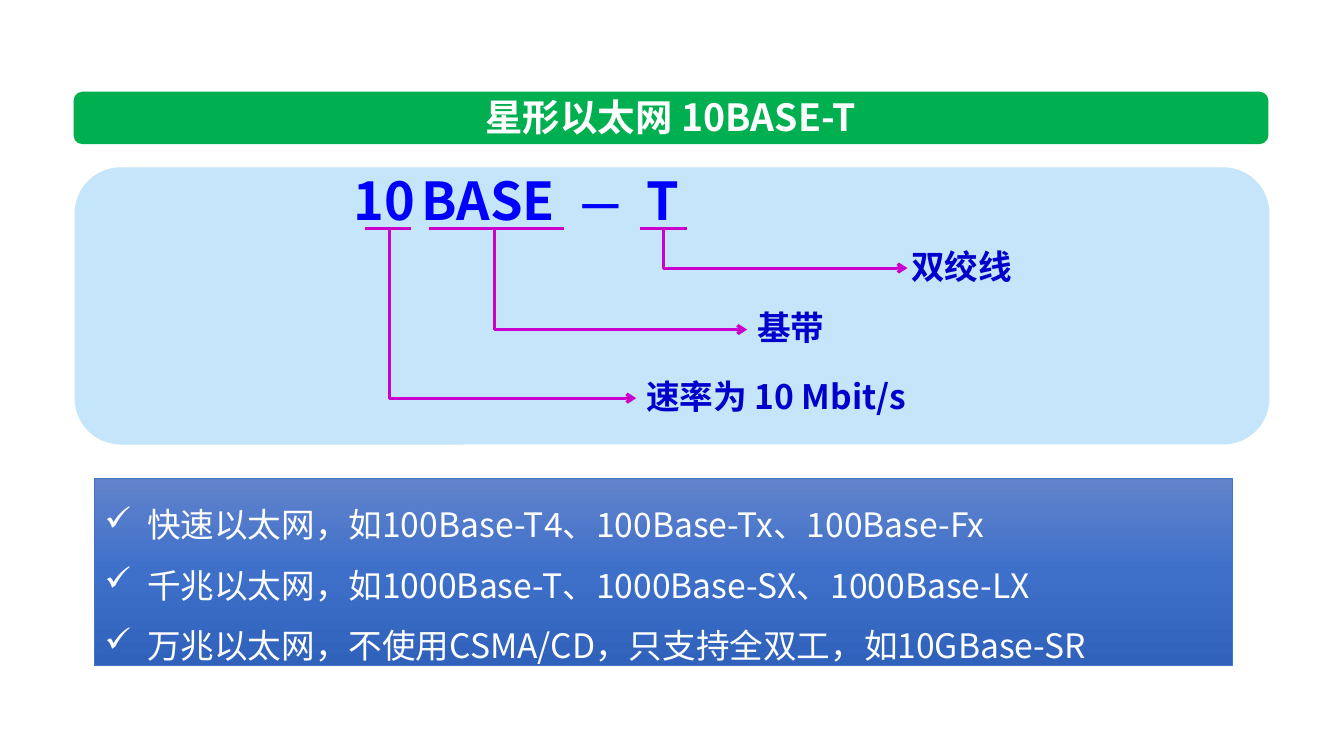
import copy
import pptx
import pptx.util
import pptx.dml.color
import pptx.enum.shapes
import pptx.enum.text
import pptx.oxml
import pptx.oxml.ns

# Content
FONT = "Noto Sans CJK SC"
TITLE = "星形以太网 10BASE-T"
# name part: text, left, top, width, height, size
NAME_PARTS = [
    ("10", 3.41, 1.62, 0.85, 0.73, 37.3),
    ("BASE", 4.08, 1.62, 1.57, 0.73, 37.3),
    ("—", 5.66, 1.68, 0.51, 0.64, 32),
    ("T", 6.31, 1.62, 0.53, 0.73, 37.3),
]
# meaning: text, underline from, underline to, stem x, arrow tip x, arrow y, text left, text width
MEANINGS = [
    ("速率为 10 Mbit/s", 3.62, 4.08, 3.86, 6.31, 3.95, 6.31, 3.06),
    ("基带", 4.25, 5.59, 4.9, 7.41, 3.27, 7.41, 0.88),
    ("双绞线", 6.35, 6.81, 6.58, 9.0, 2.66, 8.94, 1.21),
]
VARIANTS = [
    "快速以太网，如100Base-T4、100Base-Tx、100Base-Fx",
    "千兆以太网，如1000Base-T、1000Base-SX、1000Base-LX",
    "万兆以太网，不使用CSMA/CD，只支持全双工，如10GBase-SR",
]
GRADIENT = [(0, "6183CB"), (0.5, "3E70CA"), (1, "3062BB")]
UNDERLINE_Y, STEM_Y = 2.27, 2.26
LABEL_HEIGHT = 0.5
INDENT = 0.42

inch = pptx.util.Inches
SHAPE = pptx.enum.shapes.MSO_SHAPE
CONNECTOR = pptx.enum.shapes.MSO_CONNECTOR
ALIGN = pptx.enum.text.PP_ALIGN
ANCHOR = pptx.enum.text.MSO_ANCHOR


def rgb(color):
    return pptx.dml.color.RGBColor.from_string(color)


def element(xml):
    return pptx.oxml.parse_xml(xml.replace("<a:", "<a:", 1).replace(
        "/>", " " + pptx.oxml.ns.nsdecls("a") + "/>", 1))


def style(p, size, color, bold=True):
    for r in p.runs:
        r.font.size, r.font.bold = pptx.util.Pt(size), bold
        r.font.name, r.font.color.rgb = FONT, rgb(color)
        ea = element(f'<a:ea typeface="{FONT}"/>')
        r.font._element.find(pptx.oxml.ns.qn("a:latin")).addnext(ea)


def add_panel(kind, x, y, w, h, color=None):
    sp = slide.shapes.add_shape(kind, inch(x), inch(y), inch(w), inch(h))
    sp.shadow.inherit = False
    sp.line.fill.background()
    if color:
        sp.fill.solid()
        sp.fill.fore_color.rgb = rgb(color)
    return sp


def add_label(text, x, y, w, h, size, color, align=ALIGN.LEFT):
    tf = slide.shapes.add_textbox(inch(x), inch(y), inch(w), inch(h)).text_frame
    tf.word_wrap = False
    tf.text = text
    tf.paragraphs[0].alignment = align
    style(tf.paragraphs[0], size, color)


def add_line(kind, x1, y1, x2, y2):
    line = slide.shapes.add_connector(kind, inch(x1), inch(y1), inch(x2), inch(y2))
    line.line.color.rgb, line.line.width = rgb("CC00CC"), pptx.util.Pt(2.25)
    line._element.spPr.append(element("<a:effectLst/>"))
    return line


def add_bent_arrow(x1, y1, x2, y2):
    # Down, then right: the one-corner connector turned by 270 degrees and flipped
    cx, cy = (x1 + x2) / 2, (y1 + y2) / 2
    half_w, half_h = (y2 - y1) / 2, (x2 - x1) / 2
    line = add_line(CONNECTOR.ELBOW, cx - half_w, cy - half_h, cx + half_w, cy + half_h)
    spPr = line._element.spPr
    spPr.xfrm.set("rot", "16200000")
    spPr.xfrm.set("flipH", "1")
    spPr.find(pptx.oxml.ns.qn("a:prstGeom")).set("prst", "bentConnector2")
    line.line._get_or_add_ln().append(element('<a:tailEnd type="arrow"/>'))


prs = pptx.Presentation()
prs.slide_width, prs.slide_height = inch(13.33), inch(7.5)
slide = prs.slides.add_slide(prs.slide_layouts[6])

# Panel and title bar
add_panel(SHAPE.ROUNDED_RECTANGLE, 0.74, 1.66, 11.85, 2.75, "C5E5FB")
add_panel(SHAPE.ROUNDED_RECTANGLE, 0.73, 0.91, 11.85, 0.52, "00B050")
add_label(TITLE, 4.65, 0.88, 4.01, 0.55, 26.7, "FFFFFF", ALIGN.CENTER)

# Name parts and what each one means
for text, x, y, w, h, size in NAME_PARTS:
    add_label(text, x, y, w, h, size, "0000FF", ALIGN.CENTER if text == "T" else ALIGN.LEFT)
for text, left, right, stem, tip, y, text_x, text_w in MEANINGS:
    add_bent_arrow(stem, STEM_Y, tip, y)
    add_label(text, text_x, y - 0.27, text_w, LABEL_HEIGHT, 24, "0000CC")
    add_line(CONNECTOR.STRAIGHT, left, UNDERLINE_Y, right, UNDERLINE_Y)

# Gradient box with the faster variants
box = add_panel(SHAPE.RECTANGLE, 0.94, 4.75, 11.28, 1.85)
box.line.color.rgb, box.line.width = rgb("4472C4"), pptx.util.Pt(0.5)
box.fill.gradient()
box.fill.gradient_angle = 270
stops = box._element.spPr.find(".//" + pptx.oxml.ns.qn("a:gsLst"))
stops.append(copy.deepcopy(stops[0]))
for stop, (position, color) in zip(box.fill.gradient_stops, GRADIENT):
    stop.position, stop.color.rgb = position, rgb(color)

tf = box.text_frame
tf.word_wrap, tf.vertical_anchor = True, ANCHOR.TOP
tf.text = "\n".join(VARIANTS)
for p in tf.paragraphs:
    p.alignment, p.line_spacing = ALIGN.LEFT, 1.5
    pPr = p._p.get_or_add_pPr()
    pPr.set("marL", str(inch(INDENT)))
    pPr.set("indent", str(-inch(INDENT)))
    pPr.append(element('<a:buChar char="✓"/>'))
    style(p, 24, "FFFFFF", False)

prs.save("out.pptx")
